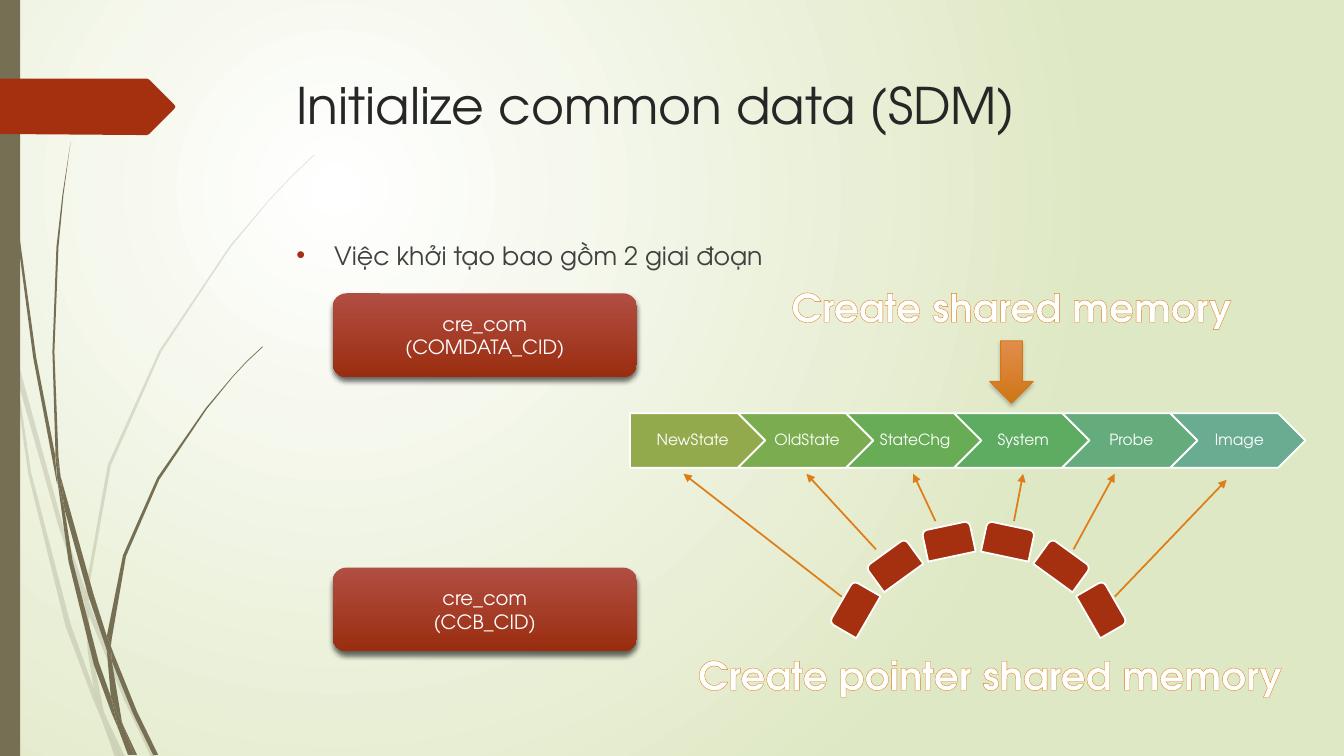
import math

import lxml.etree
import pptx
import pptx.dml.color
import pptx.enum.shapes
import pptx.enum.text
import pptx.oxml.ns
import pptx.util

Pt = pptx.util.Pt
hue = pptx.dml.color.RGBColor.from_string
name = pptx.oxml.ns.qn
add = lxml.etree.SubElement
kinds = pptx.enum.shapes.MSO_SHAPE
sides = pptx.enum.text.PP_ALIGN
FONT = "TeX Gyre Adventor"
RED, BROWN, GOLD, WHITE = "A53010", "766F54", "DE7E18", "FFFFFF"


def paint(shape, fill, line=None, width=1.25, shade=None):
    """Fill is a colour or a (top, bottom) pair; shade is (opacity, blur, distance)."""
    if isinstance(fill, tuple):
        shape.fill.gradient()
        shape.fill.gradient_angle = 270
        for stop, tone in zip(shape.fill.gradient_stops, fill):
            stop.color.rgb = hue(tone)
    else:
        shape.fill.solid()
        shape.fill.fore_color.rgb = hue(fill)
    if line:
        shape.line.color.rgb = hue(line)
        shape.line.width = Pt(width)
    else:
        shape.line.fill.background()
    shape.shadow.inherit = False
    if shade:
        clear, blur, dist = shade
        list_ = shape.element.spPr.find(name("a:effectLst"))
        drop = add(list_, name("a:outerShdw"), blurRad=str(Pt(blur)), dist=str(Pt(dist)),
                   dir="5400000", algn="ctr", rotWithShape="0")
        tone = add(drop, name("a:srgbClr"), val="000000")
        add(tone, name("a:alpha"), val=str(clear * 1000))


def write(frame, lines, size, tone, align=sides.CENTER, bold=False):
    """Write each line as one paragraph with one run; return the last run."""
    for i, line in enumerate(lines):
        para = frame.add_paragraph() if i else frame.paragraphs[0]
        para.alignment = align
        run = para.add_run()
        run.text = line
        run.font.name = FONT
        run.font.size = Pt(size)
        run.font.bold = bold
        run.font.color.rgb = hue(tone)
    return run


deck = pptx.Presentation()
deck.slide_width, deck.slide_height = Pt(960), Pt(540)
slide = deck.slides.add_slide(deck.slide_layouts[1])
shapes = slide.shapes

# Background: a round glow centred in the upper left
glow = slide.background.fill
glow.gradient()
for stop, tone in zip(glow.gradient_stops, (WHITE, "DFE8C4")):
    stop.color.rgb = hue(tone)
lin = next(slide.element.iter(name("a:lin")))
grad = lin.getparent()
grad.remove(lin)
ring = add(grad, name("a:path"), path="circle")
add(ring, name("a:fillToRect"), l="50000", t="50000", r="100000", b="100000")

# Grass blades: outlines on a grid of 0.72 pt
pale = [
    [(11, 350), (9, 322), (0, 282), (0, 299), (10, 344)],
    [(58, 522), (84, 599), (85, 586), (62, 520), (14, 345), (17, 376)],
    [(92, 607), (88, 596), (88, 610), (123, 694), (150, 751), (155, 751), (127, 692)],
    [(119, 751), (124, 751), (105, 711)],
    [(93, 683), (70, 619), (31, 469), (17, 376), (11, 350), (28, 470), (65, 621),
     (92, 693), (101, 714), (99, 707)],
    [(84, 599), (87, 646), (93, 683), (96, 692), (105, 711), (103, 706), (91, 646),
     (88, 610), (88, 608)],
    [(88, 584), (110, 462), (160, 349), (229, 245), (268, 198), (290, 175), (312, 154),
     (312, 153), (289, 175), (268, 197), (228, 244), (158, 348), (107, 461), (85, 584),
     (85, 586), (88, 596)],
    [(101, 714), (114, 751), (119, 751)],
    [(88, 608), (88, 610), (88, 596), (85, 586), (84, 599)],
    [(96, 692), (93, 683), (99, 707), (101, 714), (119, 751), (105, 711)],
]
dark = [
    [(7, 110), (17, 233), (33, 355), (56, 477), (57, 481), (55, 457), (55, 453),
     (36, 355), (19, 232), (8, 109), (5, 48), (4, 0), (3, 0), (4, 48)],
    [(88, 592), (106, 645), (106, 633), (106, 631), (93, 590), (60, 472), (64, 505)],
    [(113, 649), (110, 641), (111, 656), (132, 708), (152, 749), (157, 749), (136, 706)],
    [(110, 691), (98, 657), (72, 556), (64, 505), (57, 477), (68, 557), (93, 659),
     (111, 708), (117, 722), (116, 717)],
    [(60, 472), (58, 453), (54, 349), (58, 245), (63, 193), (70, 141), (62, 193),
     (56, 245), (52, 349), (55, 449)],
    [(133, 749), (136, 749), (122, 719)],
    [(57, 477), (64, 505), (60, 472), (55, 449), (55, 453)],
    [(111, 633), (125, 552), (158, 476), (205, 406), (231, 374), (245, 359), (261, 344),
     (260, 344), (245, 358), (231, 373), (204, 405), (156, 474), (122, 551), (106, 631),
     (110, 641)],
    [(117, 722), (127, 749), (131, 749)],
    [(106, 645), (110, 691), (116, 706), (122, 719), (121, 716), (111, 656), (109, 651)],
    [(106, 645), (109, 651), (111, 656), (110, 641), (106, 631), (106, 633)],
    [(116, 706), (110, 691), (116, 717), (117, 722), (130, 749), (133, 749), (122, 719)],
]
for blades, alpha in ((pale, 20), (dark, 100)):
    for points in blades:
        pen = shapes.build_freeform(*points[0], scale=Pt(0.72))
        pen.add_line_segments(points[1:], close=True)
        blade = pen.convert_to_shape()
        paint(blade, BROWN)
        if alpha < 100:
            tone = blade.element.spPr.find(".//" + name("a:srgbClr"))
            add(tone, name("a:alpha"), val=str(alpha * 1000))

# Side bar and red marker
bar = shapes.add_shape(kinds.RECTANGLE, 0, 0, Pt(14.4), Pt(540))
paint(bar, BROWN)
pen = shapes.build_freeform(0, 78, scale=Pt(0.72))
pen.add_line_segments([(146, 78), (148, 79), (173, 104), (174, 106), (173, 108),
                       (148, 133), (146, 134), (136, 134), (0, 133)], close=True)
paint(pen.convert_to_shape(), RED)

# Title and bullet
for holder, top, high, text, size, tone in (
        (shapes.title, 49, 100.8, "Initialize common data (SDM)", 36, "262626"),
        (slide.placeholders[1], 167.8, 297.4, "Việc khởi tạo bao gồm 2 giai đoạn", 18, "404040")):
    holder.left, holder.top, holder.width, holder.height = Pt(204.5), Pt(top), Pt(702), Pt(high)
    frame = holder.text_frame
    frame.auto_size = pptx.enum.text.MSO_AUTO_SIZE.NONE
    frame.vertical_anchor = pptx.enum.text.MSO_ANCHOR.TOP
    write(frame, [text], size, tone, sides.LEFT)
para = frame.paragraphs[0]
para.space_before = Pt(10)
props = para._p.get_or_add_pPr()
props.set("marL", str(Pt(27)))
props.set("indent", str(Pt(-27)))
add(add(props, name("a:buClr")), name("a:srgbClr"), val=RED)
add(props, name("a:buFont"), typeface="Arial")
add(props, name("a:buChar"), char="•")

# Two call cards
for top, call in ((209.5, "(COMDATA_CID)"), (405.4, "(CCB_CID)")):
    card = shapes.add_shape(kinds.ROUNDED_RECTANGLE, Pt(237.6), Pt(top), Pt(217.4), Pt(59.8))
    paint(card, ("B14E43", "9A2D0F"), shade=(60, 4, 3))
    write(card.text_frame, ["cre_com", call], 14, WHITE)

# Chain of memory parts
parts = [("NewState", "92AA4C"), ("OldState", "7CAC50"), ("StateChg", "68AC56"),
         ("System", "5DAC61"), ("Probe", "64AC7B"), ("Image", "6AAC91")]
for i, (text, tone) in enumerate(parts):
    kind = kinds.CHEVRON if i else kinds.PENTAGON
    part = shapes.add_shape(kind, Pt(450 + 77.2 * i), Pt(295.2), Pt(96.5), Pt(38.9))
    paint(part, tone, WHITE)
    frame = part.text_frame
    frame.margin_left = Pt(3.6 if i else 4.3)
    frame.margin_right = Pt(1.4)
    frame.margin_top = frame.margin_bottom = Pt(2.2)
    write(frame, [text], 11, WHITE)
    frame.paragraphs[0].line_spacing = 0.9

# Outlined captions
for left, top, wide, text in ((555.1, 198.7, 334.8, "Create shared memory"),
                              (488.2, 461.5, 437.8, "Create pointer shared memory")):
    frame = shapes.add_textbox(Pt(left), Pt(top), Pt(wide), Pt(41)).text_frame
    frame.word_wrap = False
    frame.auto_size = pptx.enum.text.MSO_AUTO_SIZE.SHAPE_TO_FIT_TEXT
    run = write(frame, [text], 28, WHITE, bold=True)
    edge = lxml.etree.Element(name("a:ln"), w=str(Pt(0.52)))
    add(add(edge, name("a:solidFill")), name("a:srgbClr"), val=GOLD)
    run.font._element.insert(0, edge)

# Down arrow
arrow = shapes.add_shape(kinds.DOWN_ARROW, Pt(707), Pt(243.4), Pt(31), Pt(44.6))
paint(arrow, ("E18D4C", "CF7516"), "D47817", 0.75, (25, 3, 2))

# Arc of pointer blocks
wide, high, reach = 34.6, 22.3, 101.8
for turn in range(-60, 61, 24):
    x = 698.8 + reach * math.sin(math.radians(turn))
    y = 486.2 - reach * math.cos(math.radians(turn))
    block = shapes.add_shape(kinds.ROUND_2_SAME_RECTANGLE, Pt(x - wide / 2), Pt(y - high / 2),
                             Pt(wide), Pt(high))
    block.rotation = turn % 360
    paint(block, RED, WHITE)

# Arrows from the blocks to the parts
for ends in ((601.2, 426.2, 488.2, 338.4), (625.7, 392.4, 576, 338.4),
             (668.2, 372.2, 652.3, 338.4), (724.3, 372.2, 730.8, 338.4),
             (766.8, 392.4, 796.3, 338.4), (796.3, 426.2, 876.2, 342.7)):
    link = shapes.add_connector(pptx.enum.shapes.MSO_CONNECTOR.STRAIGHT, *map(Pt, ends))
    link.line.color.rgb = hue(GOLD)
    link.line.width = Pt(1.25)
    add(link.line._ln, name("a:tailEnd"), type="triangle")
    add(link.element.spPr, name("a:effectLst"))

deck.save("out.pptx")
